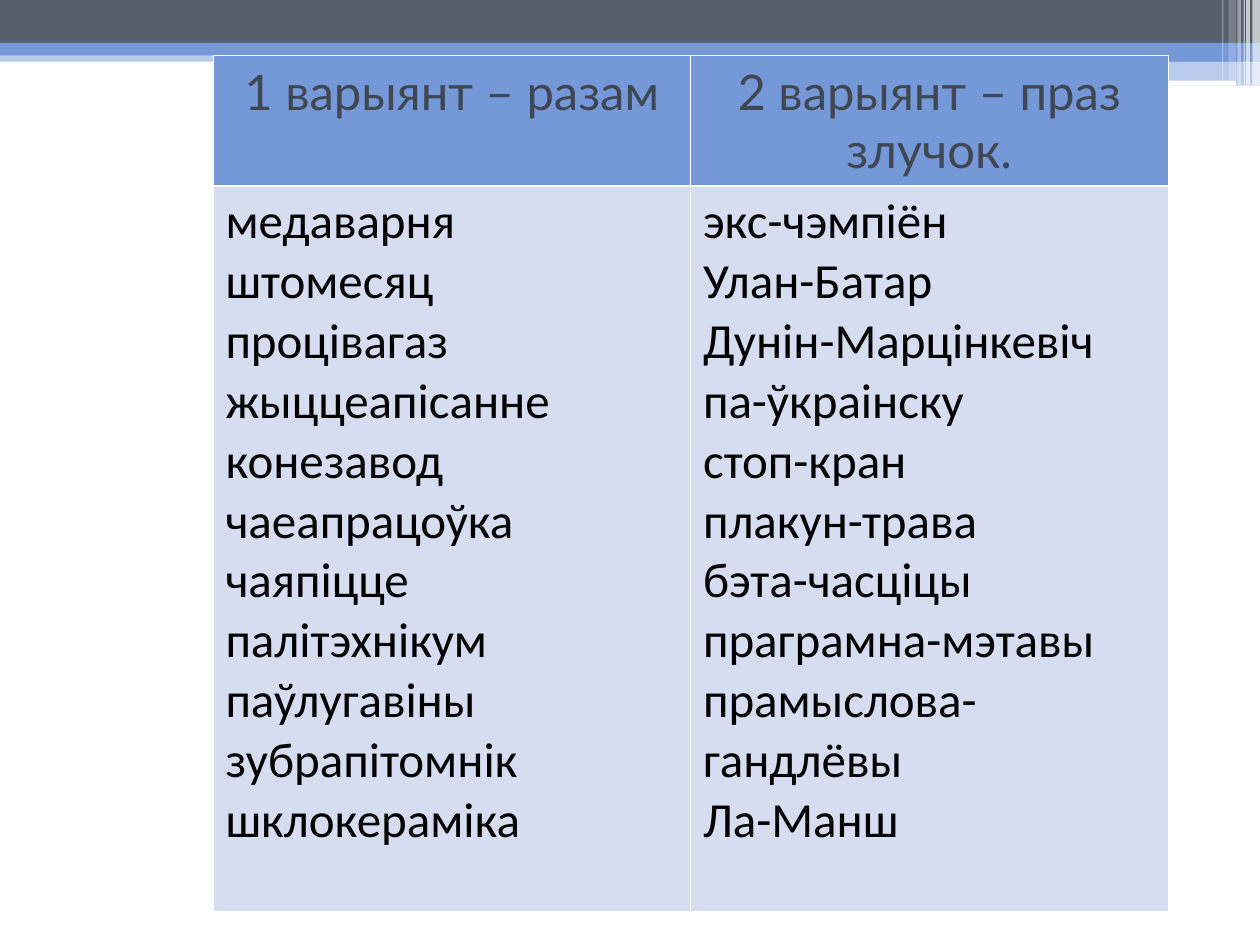
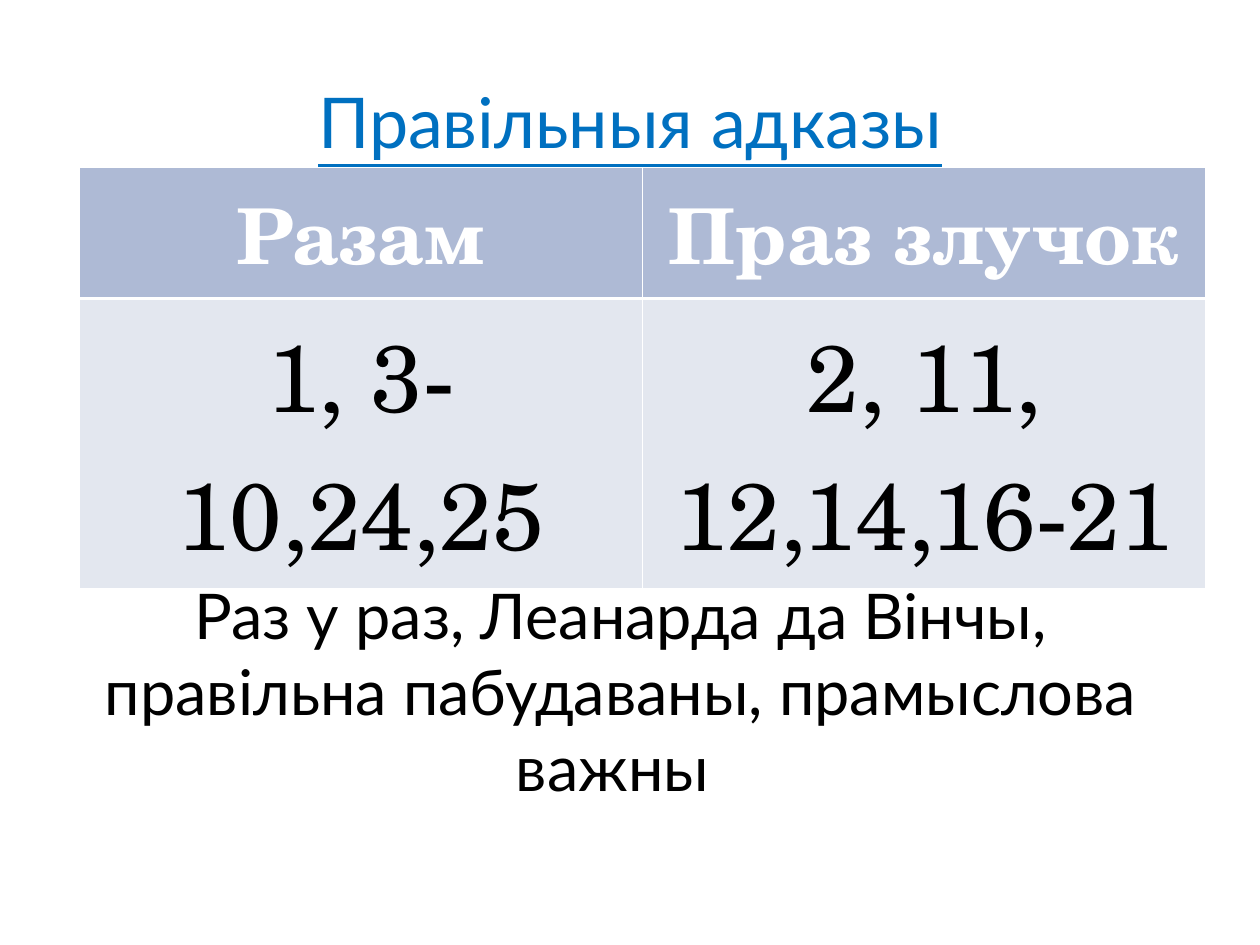
from dataclasses import dataclass

from lxml.etree import SubElement
from pptx import Presentation
from pptx.dml.color import RGBColor
from pptx.enum.shapes import MSO_SHAPE as SHAPE
from pptx.enum.text import MSO_ANCHOR as ANCHOR, PP_ALIGN as ALIGN
from pptx.oxml.ns import qn
from pptx.util import Inches, Pt

COLORS = {
    "slate": "575F6D", "blue": "7598D9", "white": "FFFFFF", "black": "000000",
    "heading": "414752", "title": "0070C0", "pale_blue": "D6DDF1",
    "grey_blue": "AEBAD5", "pale_grey": "E3E7EF",
}
THIN, THICK = 0.45, 1.47


@dataclass
class Band:
    left: float
    top: float
    width: float
    height: float
    color: str
    opacity: int = 100
    rounded: bool = False


@dataclass
class TextStyle:
    size: float
    font: str
    color: str
    bold: bool = False
    underline: bool = False
    align: ALIGN = ALIGN.CENTER


@dataclass
class TableRow:
    height: float
    fill: str
    style: TextStyle
    cells: list[list[str]]


# Top band, followed by the white stripes at its right end
BANDS = [
    Band(0, 0.4, 10, 0.09, "blue", 50),
    Band(0, 0, 10, 0.34, "slate"),
    Band(0, 0.34, 10, 0.1, "blue"),
    Band(5.92, 0.39, 4.08, 0.1, "blue"),
    Band(5.92, 0.48, 4.08, 0.2, "blue", 50),
    Band(5.91, 0.54, 3.35, 0.03, "white", rounded=True),
    Band(8.06, 0.64, 1.75, 0.04, "white", rounded=True),
    *(Band(left, 0, width, height, "white", opacity)
      for left, width, height, opacity in [
          (9.94, 0.06, 0.68, 65), (9.89, 0.03, 0.68, 65), (9.87, 0.01, 0.68, 60),
          (9.82, 0.03, 0.68, 40), (9.75, 0.06, 0.64, 20), (9.7, 0.01, 0.64, 30)]),
]

TOGETHER = ["медаварня", "штомесяц", "процівагаз", "жыццеапісанне", "конезавод",
            "чаеапрацоўка", "чаяпіцце", "палітэхнікум", "паўлугавіны",
            "зубрапітомнік", "шклокераміка"]
HYPHENATED = ["экс-чэмпіён", "Улан-Батар", "Дунін-Марцінкевіч", "па-ўкраінску",
              "стоп-кран", "плакун-трава", "бэта-часціцы", "праграмна-мэтавы",
              "прамыслова-гандлёвы", "Ла-Манш"]

WORDS_TABLE = [
    TableRow(1.03, "blue", TextStyle(28, "Lato", "heading"),
             [["1 варыянт – разам"], ["2 варыянт – праз злучок."]]),
    TableRow(5.76, "pale_blue", TextStyle(28, "Calibri", "black", align=ALIGN.LEFT),
             [TOGETHER, HYPHENATED]),
]
# Rows are tall enough for the font's generous line height
ANSWERS_TABLE = [
    TableRow(1.04, "grey_blue", TextStyle(44, "TeX Gyre Schola", "white", bold=True),
             [["Разам"], ["Праз злучок"]]),
    TableRow(2.3, "pale_grey", TextStyle(54, "TeX Gyre Schola", "black"),
             [["1, 3-10,24,25"], ["2, 11, 12,14,16-21"]]),
]


def rgb(name: str) -> RGBColor:
    return RGBColor.from_string(COLORS[name])


def write_text(tf, lines: list[str], style: TextStyle) -> None:
    tf.word_wrap = True
    formats = {"size": Pt(style.size), "name": style.font,
               "bold": style.bold, "underline": style.underline}
    for i, line in enumerate(lines):
        p = tf.add_paragraph() if i else tf.paragraphs[0]
        p.alignment = style.align
        r = p.add_run()
        r.text = line
        for name, value in formats.items():
            setattr(r.font, name, value)
        r.font.color.rgb = rgb(style.color)


def add_text(slide, box: tuple, text: str, style: TextStyle, inset_top: float) -> None:
    tf = slide.shapes.add_textbox(*map(Inches, box)).text_frame
    tf.vertical_anchor = ANCHOR.TOP
    tf.margin_top = Inches(inset_top)
    write_text(tf, [text], style)


def add_band(slide, band: Band) -> None:
    kind = SHAPE.ROUNDED_RECTANGLE if band.rounded else SHAPE.RECTANGLE
    box = (band.left, band.top, band.width, band.height)
    sp = slide.shapes.add_shape(kind, *map(Inches, box))
    sp.shadow.inherit = False
    sp.line.fill.background()
    sp.fill.solid()
    sp.fill.fore_color.rgb = rgb(band.color)
    if band.opacity < 100:
        color = sp.fill._xPr.find(f".//{qn('a:srgbClr')}")
        SubElement(color, qn("a:alpha"), val=str(band.opacity * 1000))


def set_borders(cell, widths: dict[str, float]) -> None:
    tc_pr = cell._tc.get_or_add_tcPr()
    for side, width in widths.items():
        ln = SubElement(tc_pr, qn(f"a:ln{side}"), w=str(Pt(width)))
        fill = SubElement(ln, qn("a:solidFill"))
        SubElement(fill, qn("a:srgbClr"), val=COLORS["white"])


def add_table(slide, left: float, top: float, col_width: float,
              rows: list[TableRow]) -> None:
    n_cols = len(rows[0].cells)
    box = (left, top, col_width * n_cols, sum(row.height for row in rows))
    table = slide.shapes.add_table(len(rows), n_cols, *map(Inches, box)).table
    table.horz_banding = False
    for column in table.columns:
        column.width = Inches(col_width)
    for i, row in enumerate(rows):
        table.rows[i].height = Inches(row.height)
        # The heavier line divides the header from the body
        widths = {"L": THIN, "R": THIN, "T": THICK if i else THIN,
                  "B": THIN if i else THICK}
        for j, lines in enumerate(row.cells):
            cell = table.cell(i, j)
            set_borders(cell, widths)
            cell.fill.solid()
            cell.fill.fore_color.rgb = rgb(row.fill)
            write_text(cell.text_frame, lines, row.style)


def main() -> None:
    prs = Presentation()
    prs.slide_width, prs.slide_height = Inches(10), Inches(7.5)
    blank = prs.slide_layouts[6]

    # Words by spelling
    slide = prs.slides.add_slide(blank)
    for band in BANDS:
        add_band(slide, band)
    add_table(slide, 1.69, 0.44, 3.79, WORDS_TABLE)

    # Correct answers
    slide = prs.slides.add_slide(blank)
    add_text(slide, (0.5, 0.47, 9, 1.64), "Правільныя адказы",
             TextStyle(40, "Lato", "title", underline=True), 0.15)
    add_table(slide, 0.63, 1.33, 4.47, ANSWERS_TABLE)
    add_text(slide, (0.63, 4.53, 8.59, 1.9),
             "Раз у раз, Леанарда да Вінчы, правільна пабудаваны, прамыслова важны ",
             TextStyle(36, "Lato", "black"), 0.05)

    prs.save("out.pptx")


if __name__ == "__main__":
    main()
